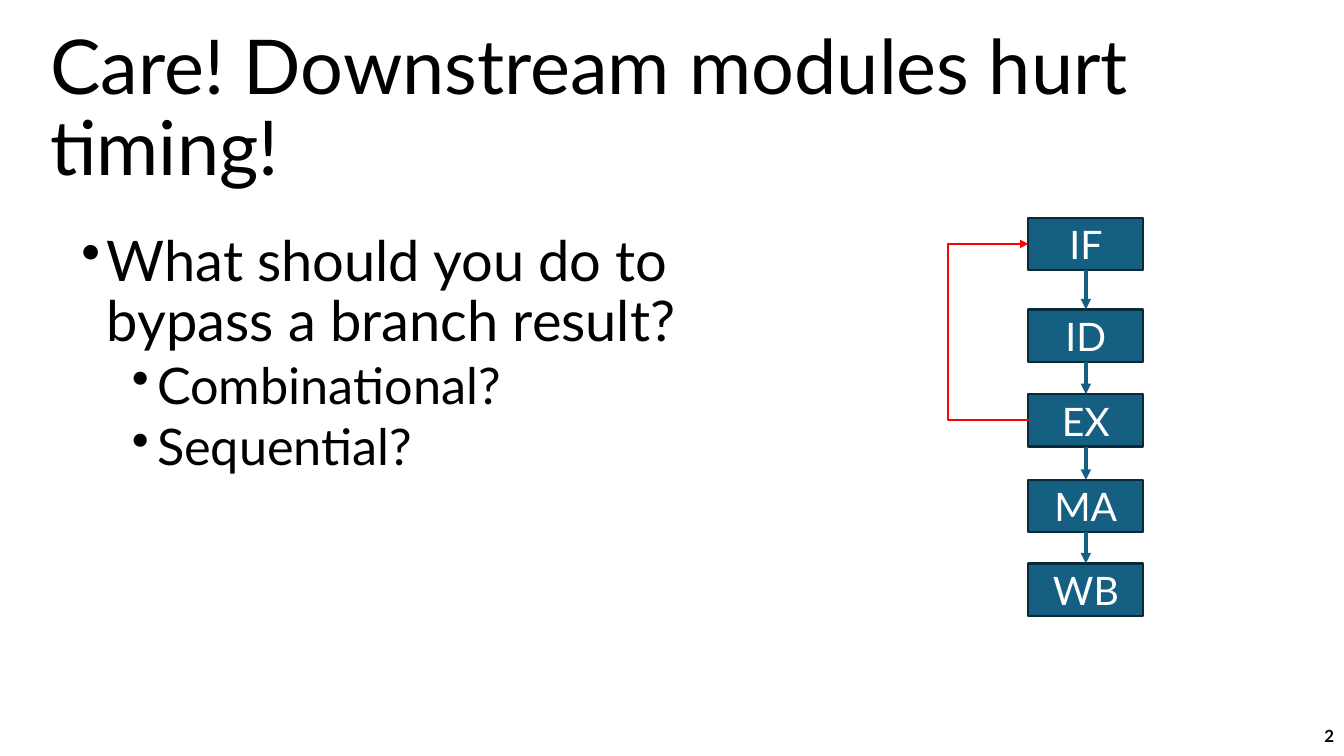
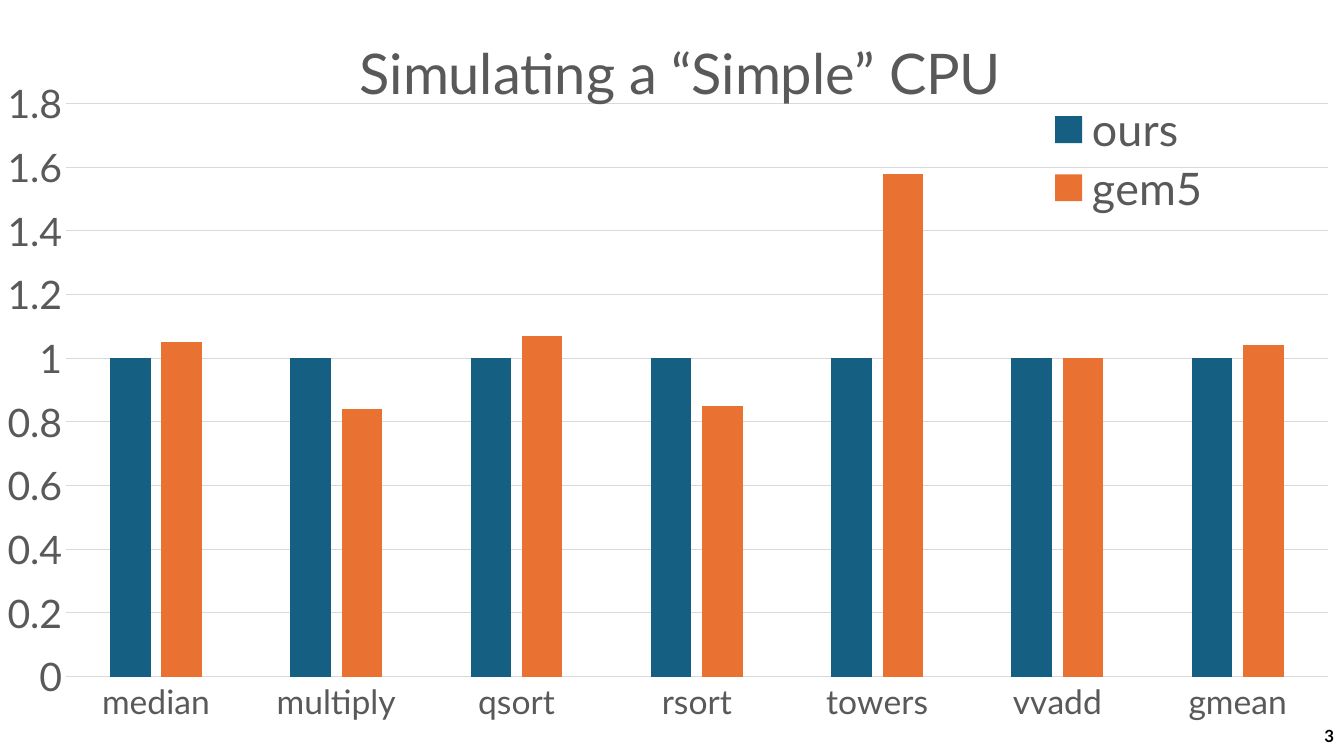
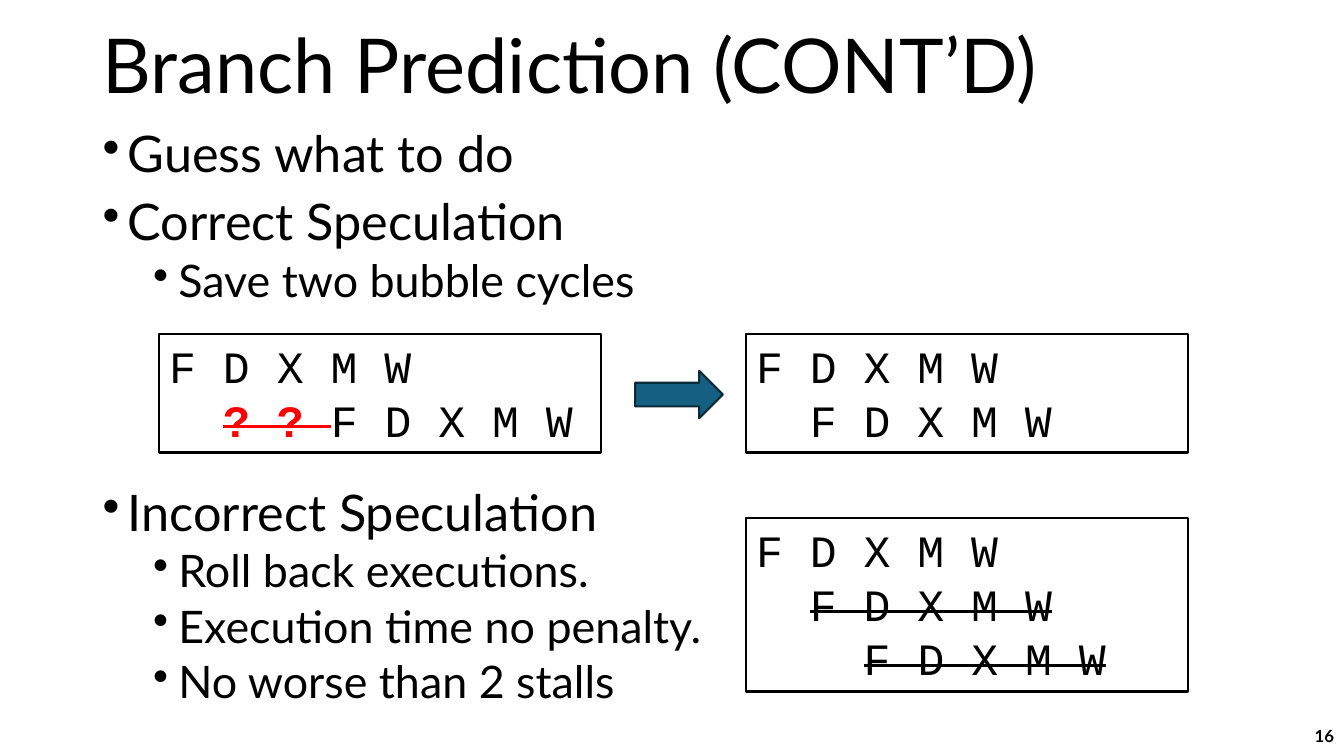
from itertools import pairwise

from lxml import etree
from pptx import Presentation
from pptx.chart.data import CategoryChartData
from pptx.dml.color import RGBColor
from pptx.enum import chart as charts, shapes, text
from pptx.oxml.ns import qn
from pptx.util import Inches, Pt

BLACK = RGBColor(0x00, 0x00, 0x00)
WHITE = RGBColor(0xFF, 0xFF, 0xFF)
RED = RGBColor(0xFF, 0x00, 0x00)
TEAL = RGBColor(0x15, 0x60, 0x82)
DARK_TEAL = RGBColor(0x09, 0x2A, 0x39)
ORANGE = RGBColor(0xE9, 0x71, 0x32)
GREY = RGBColor(0x59, 0x59, 0x59)
GRID_GREY = RGBColor(0xD9, 0xD9, 0xD9)
SANS = "Lato"
MONO = "Courier New"


def style_font(font, size, color=BLACK, name=SANS, bold=False):
    font.name = name
    font.size = Pt(size)
    font.bold = bold
    font.color.rgb = color


def set_layout(part, index, left, top, width=None, height=None, inner=False):
    """Place a chart part by fractions of the chart area."""
    for old in part.findall(qn("c:layout")):
        part.remove(old)
    layout = etree.Element(qn("c:layout"))
    manual = etree.SubElement(layout, qn("c:manualLayout"))
    settings = [("layoutTarget", "inner" if inner else None),
                ("xMode", "edge"), ("yMode", "edge"),
                ("x", left), ("y", top), ("w", width), ("h", height)]
    for tag, value in settings:
        if value is not None:
            etree.SubElement(manual, qn(f"c:{tag}")).set("val", str(value))
    part.insert(index, layout)


class Deck:
    def __init__(self):
        self.deck = Presentation()
        self.deck.slide_width = Inches(13.33)
        self.deck.slide_height = Inches(7.5)
        self.page = None

    def new_page(self, number):
        self.page = self.deck.slides.add_slide(self.deck.slide_layouts[6])
        frame = self.text_frame(10.33, 7.1, 3, 0.4, text.MSO_ANCHOR.MIDDLE)
        para = frame.paragraphs[0]
        para.alignment = text.PP_ALIGN.RIGHT
        self.span(para, str(number), 12, bold=True)

    def text_frame(self, left, top, width, height, anchor=text.MSO_ANCHOR.TOP):
        box = self.page.shapes.add_textbox(
            Inches(left), Inches(top), Inches(width), Inches(height))
        frame = box.text_frame
        frame.word_wrap = True
        frame.vertical_anchor = anchor
        return frame

    def span(self, para, words, size, color=BLACK, name=SANS, bold=False, strike=False):
        run = para.add_run()
        run.text = words
        style_font(run.font, size, color, name, bold)
        if strike:
            run.font._element.set("strike", "sngStrike")

    def title(self, words, left, top, width, height):
        frame = self.text_frame(left, top, width, height, text.MSO_ANCHOR.MIDDLE)
        para = frame.paragraphs[0]
        para.line_spacing = 0.9
        self.span(para, words, 54)

    def bullets(self, items, sizes, left, top, width, height):
        """Each item is (level, words) or (level, words, points before)."""
        frame = self.text_frame(left, top, width, height)
        for index, (level, words, *gap) in enumerate(items):
            para = frame.add_paragraph() if index else frame.paragraphs[0]
            props = para._p.get_or_add_pPr()
            props.set("marL", str(Inches(0.25 + 0.5 * level)))
            props.set("indent", str(Inches(-0.25)))
            etree.SubElement(props, qn("a:buChar")).set("char", "•")
            para.level = level
            para.line_spacing = 0.9
            if index:
                para.space_before = Pt(gap[0] if gap else (10, 5)[level])
            self.span(para, words, sizes[level])

    def shape(self, kind, left, top, width, height, fill=TEAL, line=DARK_TEAL):
        shape = self.page.shapes.add_shape(
            kind, Inches(left), Inches(top), Inches(width), Inches(height))
        shape.shadow.inherit = False
        shape.fill.solid()
        shape.fill.fore_color.rgb = fill
        shape.line.color.rgb = line
        shape.line.width = Pt(1.5)
        return shape

    def stage(self, name, left, top, width, height):
        box = self.shape(shapes.MSO_SHAPE.RECTANGLE, left, top, width, height)
        box.text_frame.vertical_anchor = text.MSO_ANCHOR.MIDDLE
        para = box.text_frame.paragraphs[0]
        para.alignment = text.PP_ALIGN.CENTER
        self.span(para, name, 28, WHITE)
        return box

    def timing_box(self, lines, left, top, width, height):
        """Each line is a list of (words, style) spans."""
        box = self.shape(shapes.MSO_SHAPE.RECTANGLE, left, top, width, height,
                         WHITE, BLACK)
        frame = box.text_frame
        frame.vertical_anchor = text.MSO_ANCHOR.TOP
        for index, spans in enumerate(lines):
            para = frame.add_paragraph() if index else frame.paragraphs[0]
            para.alignment = text.PP_ALIGN.LEFT
            for words, style in spans:
                self.span(para, words, 32, name=MONO, **style)

    def arrow(self, kind, start, start_side, end, end_side, color, width):
        link = self.page.shapes.add_connector(kind, 0, 0, 0, 0)
        link.begin_connect(start, start_side)
        link.end_connect(end, end_side)
        link.line.color.rgb = color
        link.line.width = Pt(width)
        tail = etree.SubElement(link.line._get_or_add_ln(), qn("a:tailEnd"))
        tail.set("type", "triangle")
        etree.SubElement(link._element.spPr, qn("a:effectLst"))
        return link

    def feedback_arrow(self, start, end, reach):
        """Join two left sides by an elbow that reaches out to the left."""
        link = self.arrow(shapes.MSO_CONNECTOR.ELBOW, start, 1, end, 1, RED, 1.5)
        # The bend is a share of the width, so the width must not be zero.
        width = Inches(0.01)
        link.begin_x = start.left + width
        link.end_x = end.left
        guides = link._element.spPr.find(qn("a:prstGeom")).get_or_add_avLst()
        guide = etree.SubElement(guides, qn("a:gd"))
        guide.set("name", "adj1")
        guide.set("fmla", f"val {round(Inches(reach) / width * 100000)}")

    def column_chart(self, title, categories, series):
        data = CategoryChartData()
        data.categories = categories
        for name, values, _ in series:
            data.add_series(name, values)
        chart = self.page.shapes.add_chart(
            charts.XL_CHART_TYPE.COLUMN_CLUSTERED, 0, 0,
            self.deck.slide_width, self.deck.slide_height, data).chart
        style_font(chart.font, 10)

        chart.has_title = True
        self.span(chart.chart_title.text_frame.paragraphs[0], title, 40, GREY)
        set_layout(chart.chart_title._element, 1, 0.26, 0.03)

        chart.has_legend = True
        legend = chart.legend
        legend.position = charts.XL_LEGEND_POSITION.BOTTOM
        legend.include_in_layout = False
        style_font(legend.font, 32, GREY)
        set_layout(legend._element, 1, 0.77, 0.13, 0.14, 0.16)

        plot = chart.plots[0]
        plot.vary_by_categories = False
        plot.gap_width = 219
        plot.overlap = -27
        for drawn, (_, _, color) in zip(plot.series, series):
            drawn.format.fill.solid()
            drawn.format.fill.fore_color.rgb = color
        plot_area = chart._chartSpace.find(f".//{qn('c:plotArea')}")
        set_layout(plot_area, 0, 0.049, 0.137, 0.939, 0.758, inner=True)

        for axis, size in ((chart.category_axis, 24), (chart.value_axis, 28)):
            axis.major_tick_mark = charts.XL_TICK_MARK.NONE
            style_font(axis.tick_labels.font, size, GREY)
        values = chart.value_axis
        values.minimum_scale, values.maximum_scale, values.major_unit = 0, 1.8, 0.2
        values.format.line.fill.background()
        for line in (chart.category_axis.format.line,
                     values.major_gridlines.format.line):
            line.color.rgb = GRID_GREY
            line.width = Pt(0.75)


def pipeline_slide(deck):
    deck.new_page(2)
    deck.title("Care! Downstream modules hurt timing!", 0.4, 0.37, 12.53, 1.45)
    deck.bullets([(0, "What should you do to bypass a branch result?"),
                  (1, "Combinational?"),
                  (1, "Sequential?")], (40, 36), 0.71, 2.26, 6.52, 2.9)
    tops = {"IF": 2.16, "ID": 3.07, "EX": 3.91, "MA": 4.76, "WB": 5.59}
    stages = {name: deck.stage(name, 10.2, top, 1.14, 0.52)
              for name, top in tops.items()}
    for upper, lower in pairwise(stages.values()):
        deck.arrow(shapes.MSO_CONNECTOR.STRAIGHT, upper, 2, lower, 0, TEAL, 2.5)
    deck.feedback_arrow(stages["EX"], stages["IF"], 0.82)


def simulation_slide(deck):
    deck.new_page(3)
    deck.column_chart(
        "Simulating a “Simple” CPU",
        ["median", "multiply", "qsort", "rsort", "towers", "vvadd", "gmean"],
        [("ours", [1] * 7, TEAL),
         ("gem5", [1.05, 0.84, 1.07, 0.85, 1.58, 1, 1.04], ORANGE)])


def prediction_slide(deck):
    deck.new_page(16)
    deck.title("Branch Prediction (CONT’D)", 0.92, 0, 11.5, 1.36)
    deck.bullets([(0, "Guess what to do"),
                  (0, "Correct Speculation"),
                  (1, "Save two bubble cycles"),
                  (0, "Incorrect Speculation", 129),
                  (1, "Roll back executions."),
                  (1, "Execution time no penalty."),
                  (1, "No worse than 2 stalls")], (36, 32), 0.92, 1.23, 11.5, 5.87)
    stages = "F D X M W"
    plain, struck = {}, {"strike": True}
    bubble = {"color": RED, "bold": True, "strike": True}
    first = [(stages, plain)]
    left, right, width = 1.58, 7.4, 4.38
    deck.timing_box([first, [("  " + stages, plain)]], right, 3.31, width, 1.18)
    deck.timing_box([first, [("  ", plain), ("? ? ", bubble), (stages, plain)]],
                    left, 3.31, width, 1.18)
    deck.shape(shapes.MSO_SHAPE.RIGHT_ARROW, 6.3, 3.68, 0.87, 0.47)
    deck.timing_box([first, [("  ", plain), (stages, struck)],
                     [("    ", plain), (stages, struck)]], right, 5.14, width, 1.72)


def main():
    deck = Deck()
    pipeline_slide(deck)
    simulation_slide(deck)
    prediction_slide(deck)
    deck.deck.save("out.pptx")


if __name__ == "__main__":
    main()
